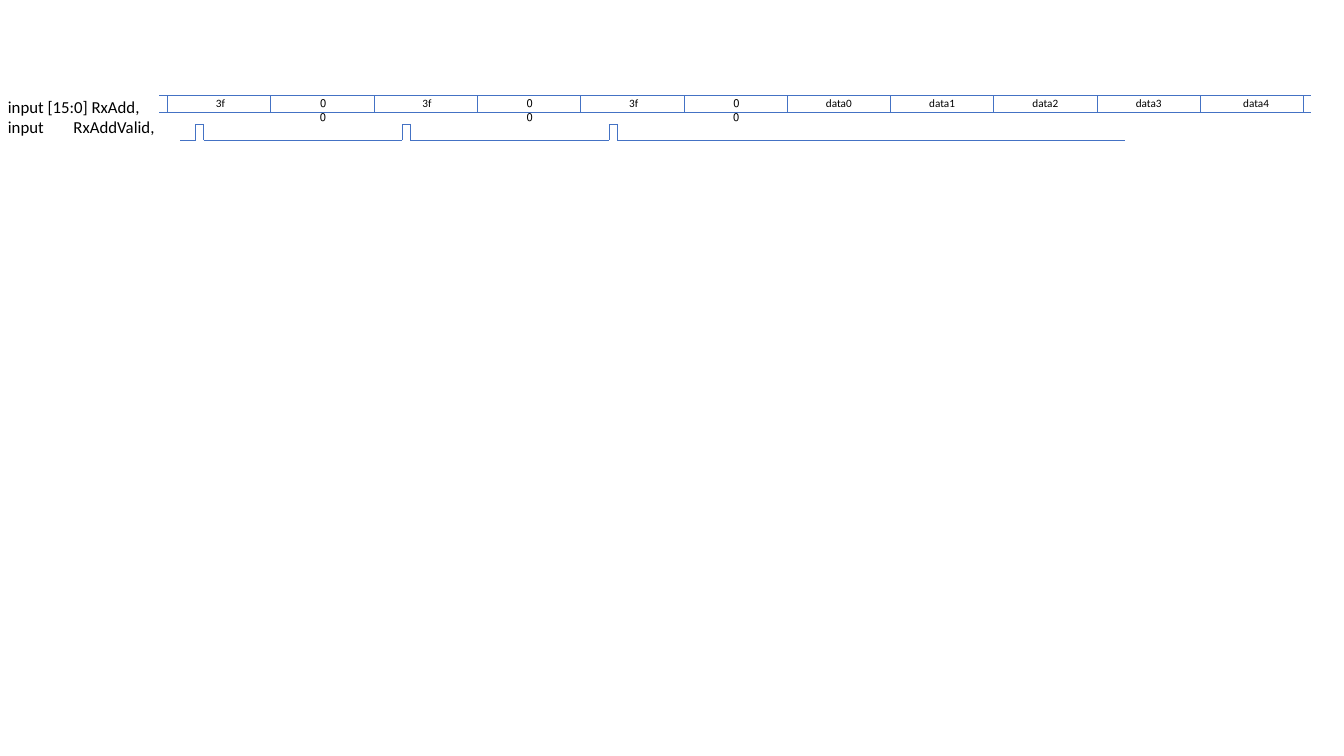
"""Build a timing diagram of the RxAdd bus and its RxAddValid strobe."""
from dataclasses import dataclass

from lxml.etree import SubElement
from pptx import Presentation
from pptx.dml.color import RGBColor
from pptx.enum.shapes import MSO_CONNECTOR as Connector
from pptx.enum.text import MSO_AUTO_SIZE as AutoSize, PP_ALIGN as Align
from pptx.oxml.ns import qn
from pptx.util import Inches, Pt

COLORS = {"signal": "4472C4", "text": "000000"}
FONT = "Calibri"
BUS_TOP, BUS_BOTTOM = 0.95, 1.11
BUS_START, BUS_END = 1.58, 13
FIRST_EDGE, LAST_EDGE = 1.66, 12.93
VALID_HIGH, VALID_LOW = 1.23, 1.39
VALID_START, VALID_END = 1.79, 11.16
PULSE_WIDTH = 0.08
LABEL_TOP = 0.91


@dataclass(frozen=True)
class Word:
    text: str
    offset: float
    width: float


ADDRESS = Word("3f", 0.38, 0.29)
ZERO = Word("00", 0.34, 0.31)
WORDS = [ADDRESS, ZERO] * 3
WORDS += [Word(f"data{n}", 0.28, 0.46) for n in range(4)]
WORDS.append(Word("data4", 0.32, 0.46))


def add_text(slide, text: str, left: float, top: float, width: float, height: float,
             *, size: float, align: Align = Align.LEFT, rtl: bool = False,
             tab: float = 0) -> None:
    frame = slide.shapes.add_textbox(
        Inches(left), Inches(top), Inches(width), Inches(height)).text_frame
    frame.word_wrap = False
    frame.auto_size = AutoSize.SHAPE_TO_FIT_TEXT
    frame.text = text
    for paragraph in frame.paragraphs:
        paragraph.alignment = align
        properties = paragraph._p.get_or_add_pPr()
        if rtl:
            properties.set("rtl", "1")
        if tab:
            stops = SubElement(properties, qn("a:tabLst"))
            SubElement(stops, qn("a:tab"), pos=str(Inches(tab)), algn="l")
        for run in paragraph.runs:
            run.font.name = FONT
            run.font.size = Pt(size)
            run.font.color.rgb = RGBColor.from_string(COLORS["text"])


def add_line(slide, x1: float, y1: float, x2: float, y2: float) -> None:
    line = slide.shapes.add_connector(
        Connector.STRAIGHT, Inches(x1), Inches(y1), Inches(x2), Inches(y2))
    line.line.color.rgb = RGBColor.from_string(COLORS["signal"])
    line.line.width = Pt(0.5)
    SubElement(line._element.spPr, qn("a:effectLst"))


def draw_bus(slide) -> None:
    for rail in (BUS_TOP, BUS_BOTTOM):
        add_line(slide, BUS_START, rail, BUS_END, rail)
    period = (LAST_EDGE - FIRST_EDGE) / len(WORDS)
    edges = [FIRST_EDGE + n * period for n in range(len(WORDS) + 1)]
    for edge in edges:
        add_line(slide, edge, BUS_BOTTOM, edge, BUS_TOP)
    for edge, word in zip(edges, WORDS):
        add_text(slide, word.text, edge + word.offset, LABEL_TOP, word.width, 0.24,
                 size=8, align=Align.RIGHT, rtl=True)


def draw_valid(slide) -> None:
    wave = [(VALID_START, VALID_LOW)]
    for rise in (1.94, 3.99, 6.04):
        fall = rise + PULSE_WIDTH
        wave += [(rise, VALID_LOW), (rise, VALID_HIGH),
                 (fall, VALID_HIGH), (fall, VALID_LOW)]
    wave.append((VALID_END, VALID_LOW))
    for start, end in zip(wave, wave[1:]):
        add_line(slide, *start, *end)


presentation = Presentation()
presentation.slide_width = Inches(13.33)
presentation.slide_height = Inches(7.5)
diagram = presentation.slides.add_slide(presentation.slide_layouts[6])
add_text(diagram, "input [15:0] RxAdd,\ninput\tRxAddValid,", -0.02, LABEL_TOP, 1.68, 0.71,
         size=12, tab=0.65)
draw_bus(diagram)
draw_valid(diagram)
presentation.save("out.pptx")
